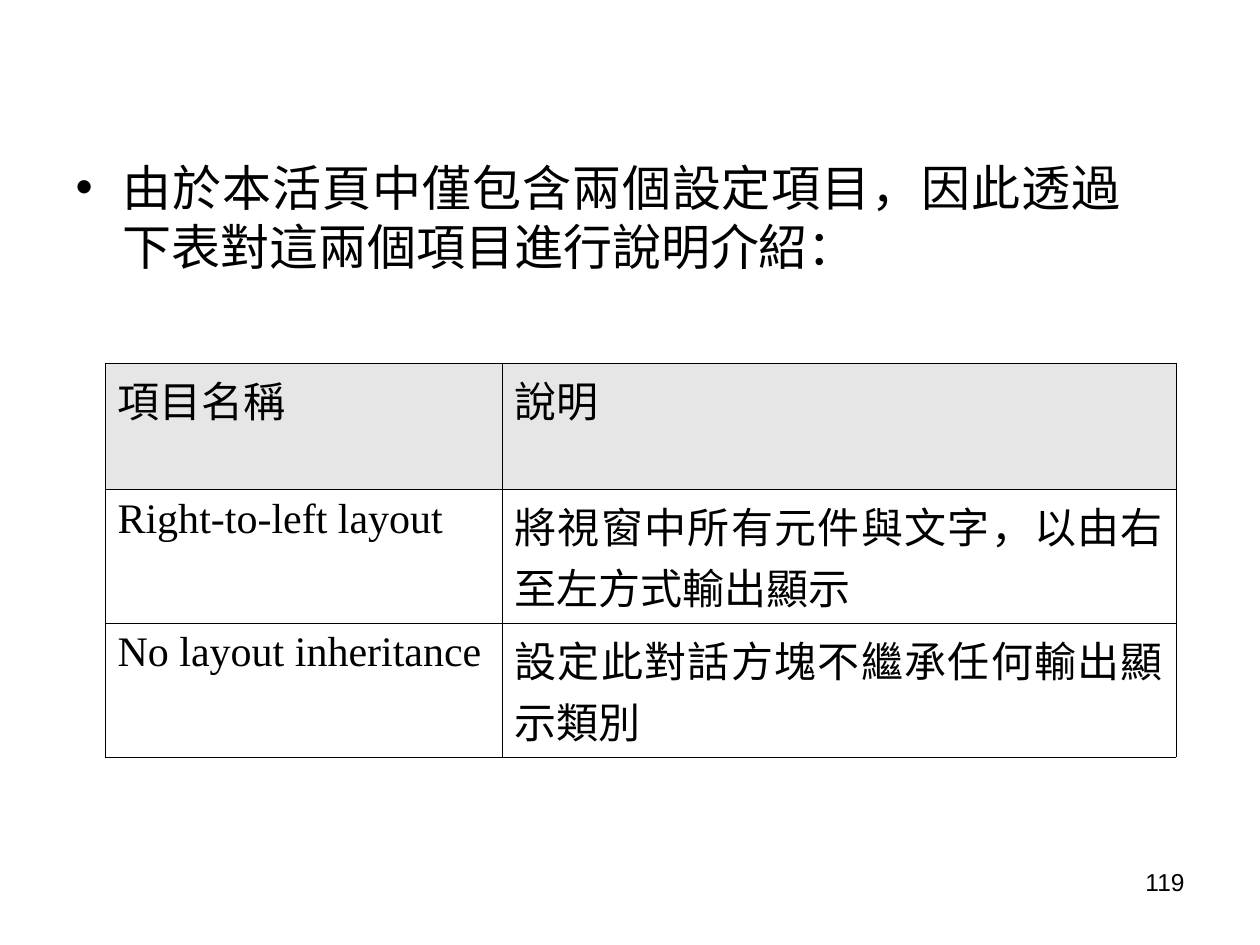
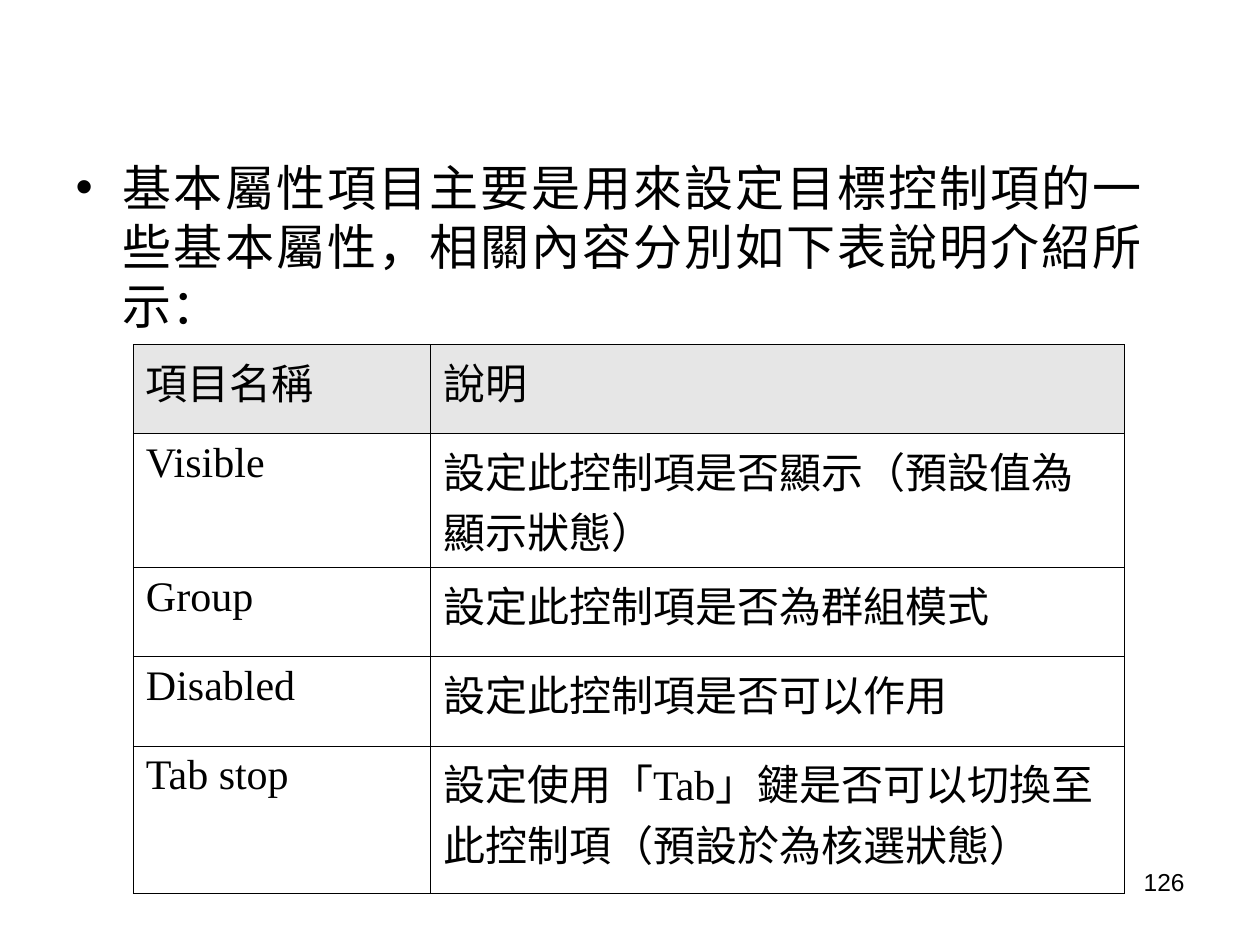
from dataclasses import dataclass

from lxml import etree
from pptx import Presentation
from pptx.dml.color import RGBColor
from pptx.enum.text import MSO_ANCHOR, MSO_AUTO_SIZE, PP_ALIGN
from pptx.oxml.ns import qn
from pptx.util import Inches, Pt

LEFT, RIGHT, JUSTIFY = PP_ALIGN.LEFT, PP_ALIGN.RIGHT, PP_ALIGN.JUSTIFY
TOP, NO_FIT = MSO_ANCHOR.TOP, MSO_AUTO_SIZE.NONE
COLUMNS, ROWS = 120, 90
BODY_LAYOUT = 1


@dataclass(frozen=True)
class Theme:
    ink: str = "000000"
    paper: str = "FFFFFF"
    header: str = "E6E6E6"
    sans: str = "Arial"
    serif: str = "Times New Roman"
    body_size: int = 28
    cell_size: int = 24
    number_size: int = 14
    body_leading: float = 33.7
    cell_leading: float = 34.6
    border: float = 0.45


def write(tf, text, *, size, font, color, align=LEFT, leading=None):
    p = tf.paragraphs[0]
    p.alignment = align
    if leading:
        p.line_spacing = Pt(leading)
    r = p.add_run()
    r.text = text
    r.font.size = Pt(size)
    r.font.name = font
    r.font.color.rgb = RGBColor.from_string(color)


class Deck:
    """Builds slides in one theme on a 120 by 90 grid."""

    def __init__(self, theme):
        self.theme = theme
        self.prs = Presentation()
        self.prs.slide_width, self.prs.slide_height = Inches(10), Inches(7.5)
        self.s = None

    def x(self, columns):
        return round(self.prs.slide_width * columns / COLUMNS)

    def y(self, rows):
        return round(self.prs.slide_height * rows / ROWS)

    def box(self, left, top, width, height):
        return self.x(left), self.y(top), self.x(width), self.y(height)

    def new_slide(self):
        self.s = self.prs.slides.add_slide(self.prs.slide_layouts[BODY_LAYOUT])
        fill = self.s.background.fill
        fill.solid()
        fill.fore_color.rgb = RGBColor.from_string(self.theme.paper)
        title = self.s.shapes.title.element
        title.getparent().remove(title)

    def body(self, text, width):
        t = self.theme
        sp = self.s.placeholders[1]
        sp.left, sp.top, sp.width, sp.height = self.box(6, 14, width, 66)
        tf = sp.text_frame
        tf.auto_size, tf.vertical_anchor = NO_FIT, TOP
        tf.margin_top = Inches(0.08)
        write(tf, text, size=t.body_size, font=t.sans, color=t.ink,
              align=JUSTIFY, leading=t.body_leading)
        tf.paragraphs[0].space_before = Pt(0)

    def borders(self, cell):
        tc_pr = cell._tc.get_or_add_tcPr()
        for side in ("a:lnL", "a:lnR", "a:lnT", "a:lnB"):
            ln = etree.SubElement(tc_pr, qn(side), w=str(Pt(self.theme.border)))
            fill = etree.SubElement(ln, qn("a:solidFill"))
            etree.SubElement(fill, qn("a:srgbClr"), val=self.theme.ink)

    def cell(self, cell, text, is_header, align):
        t = self.theme
        self.borders(cell)
        if is_header:
            cell.fill.solid()
            cell.fill.fore_color.rgb = RGBColor.from_string(t.header)
        else:
            cell.fill.background()
        write(cell.text_frame, text, size=t.cell_size, font=t.serif, color=t.ink,
              align=align, leading=None if text.isascii() else t.cell_leading)

    def table(self, left, top, widths, heights, items, align=LEFT):
        records = [("項目名稱", "說明"), *items]
        frame = self.s.shapes.add_table(
            len(records), len(widths),
            *self.box(left, top, sum(widths), sum(heights)))
        table = frame.table
        table.first_row = table.horz_banding = False
        for column, width in zip(table.columns, widths):
            column.width = self.x(width)
        for i, (row, height, record) in enumerate(zip(table.rows, heights, records)):
            row.height = self.y(height)
            for cell, text in zip(row.cells, record):
                self.cell(cell, text, i == 0, align)

    def page_number(self, number):
        t = self.theme
        tf = self.s.shapes.add_textbox(*self.box(86, 82, 28, 6.2)).text_frame
        tf.word_wrap = True
        write(tf, str(number), size=t.number_size, font=t.sans, color=t.ink,
              align=RIGHT)


def main():
    deck = Deck(Theme())

    deck.new_slide()
    deck.body("由於本活頁中僅包含兩個設定項目，因此透過下表對這兩個項目進行說明介紹：", 102)
    deck.table(10, 34.6, (37.8, 64.2), (12, 12.6, 12), [
        ("Right-to-left layout", "將視窗中所有元件與文字，以由右至左方式輸出顯示"),
        ("No layout inheritance", "設定此對話方塊不繼承任何輸出顯示類別"),
    ], align=JUSTIFY)
    deck.page_number(119)

    deck.new_slide()
    deck.body("基本屬性項目主要是用來設定目標控制項的一些基本屬性，"
              "相關內容分別如下表說明介紹所示：", 104)
    deck.table(12.7, 32.8, (28.3, 66.1), (8.5, 10.8, 8.5, 8.5, 14), [
        ("Visible", "設定此控制項是否顯示（預設值為顯示狀態）"),
        ("Group", "設定此控制項是否為群組模式"),
        ("Disabled", "設定此控制項是否可以作用"),
        ("Tab stop", "設定使用「Tab」鍵是否可以切換至此控制項（預設於為核選狀態）"),
    ])
    deck.page_number(126)

    deck.prs.save("out.pptx")


if __name__ == "__main__":
    main()
